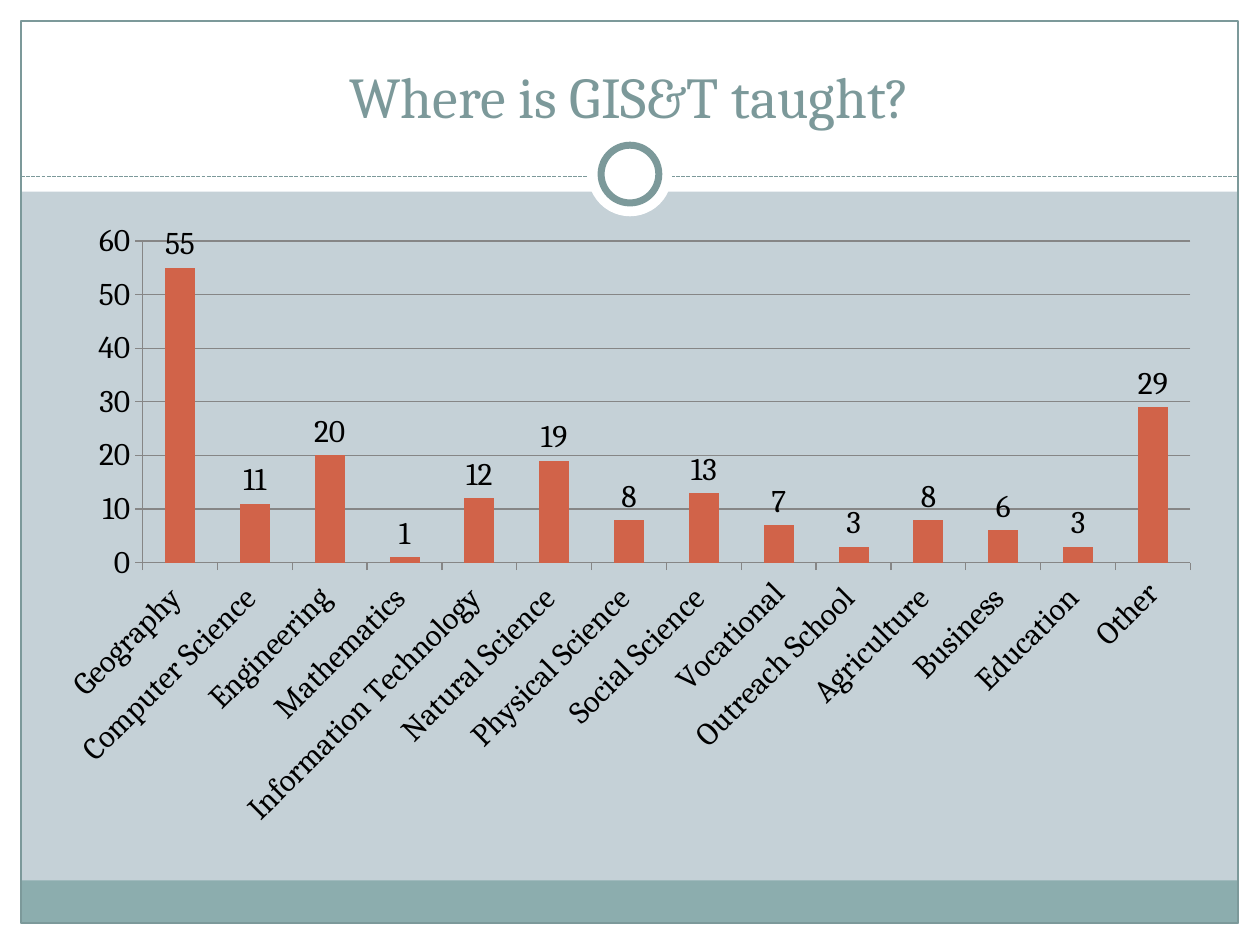
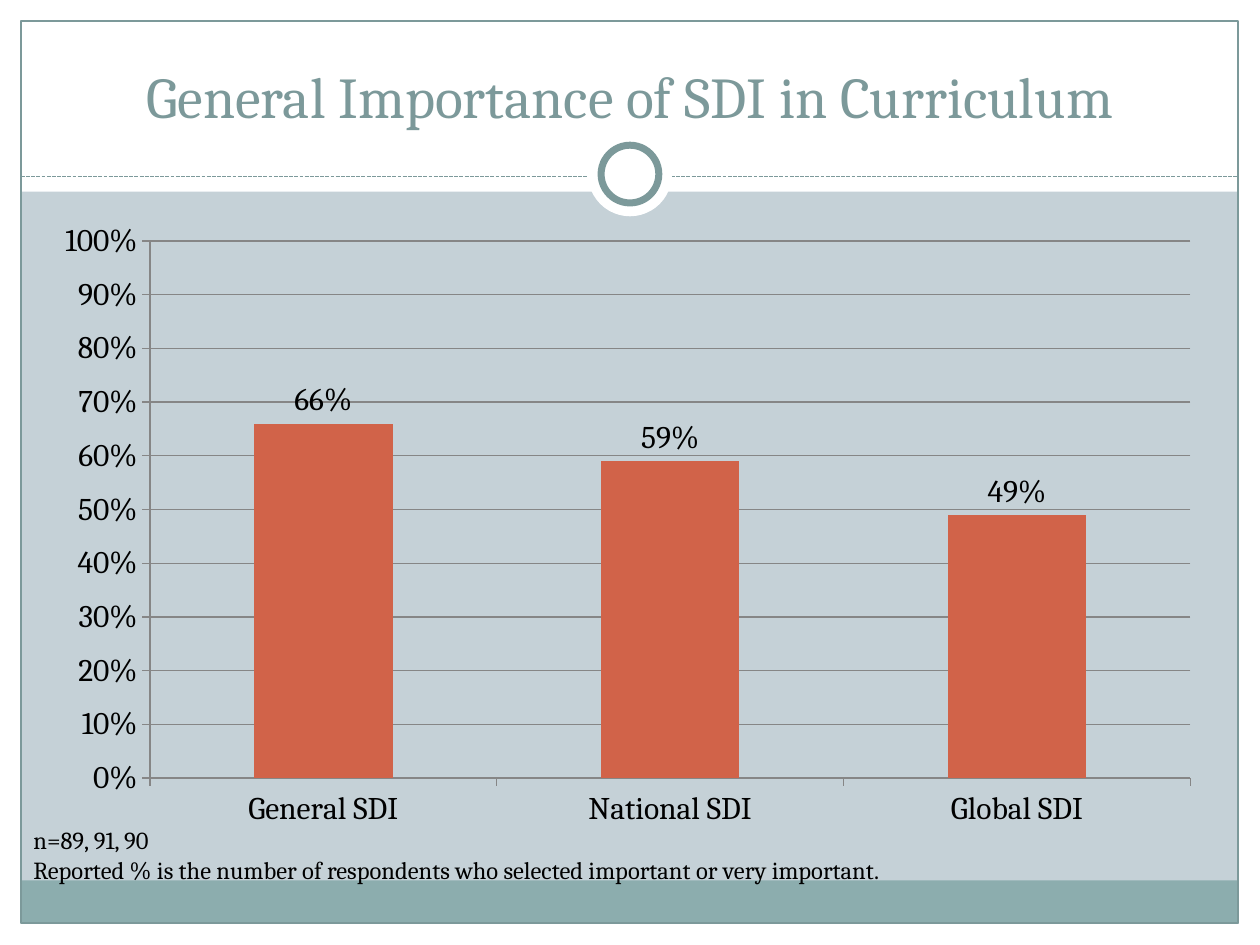
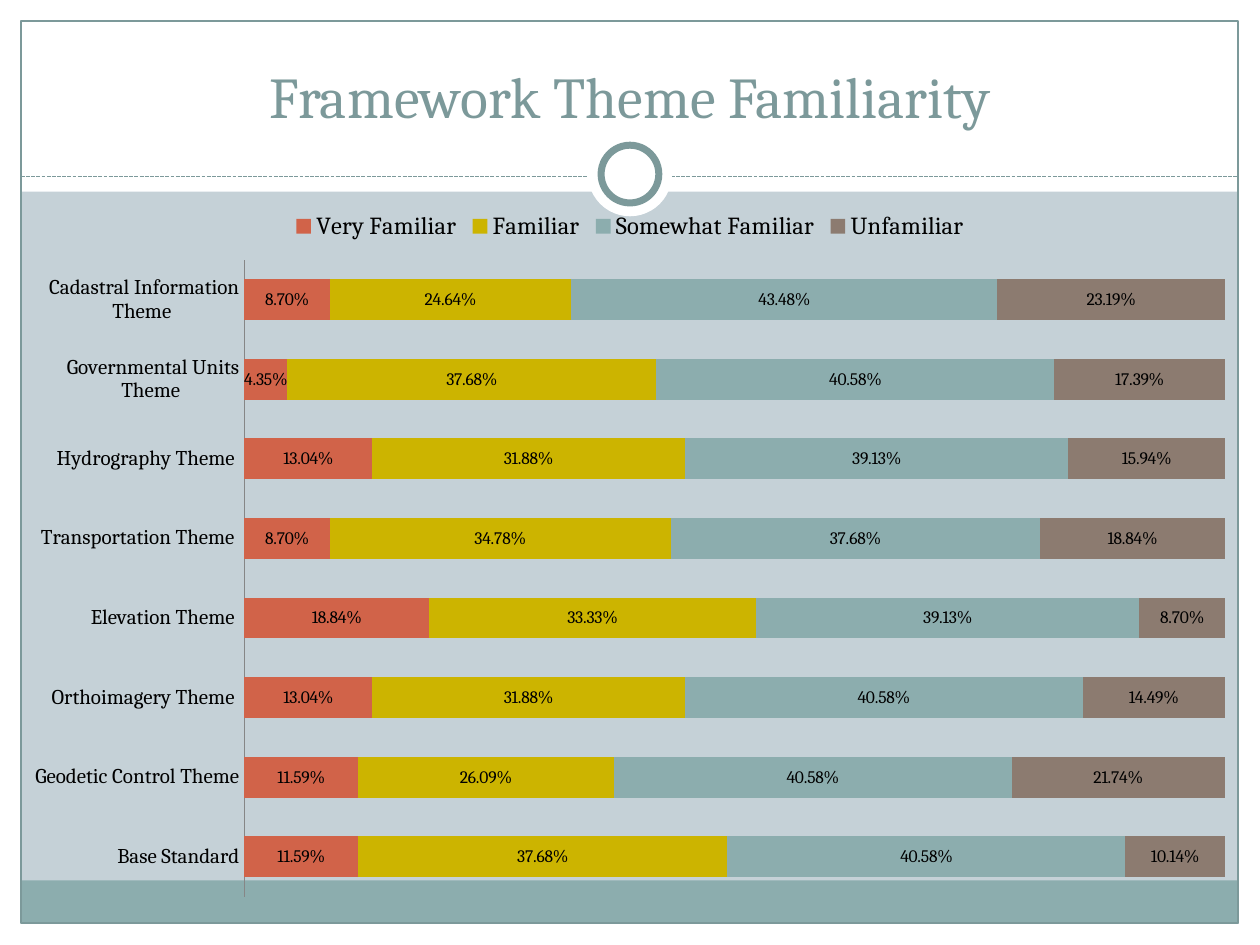
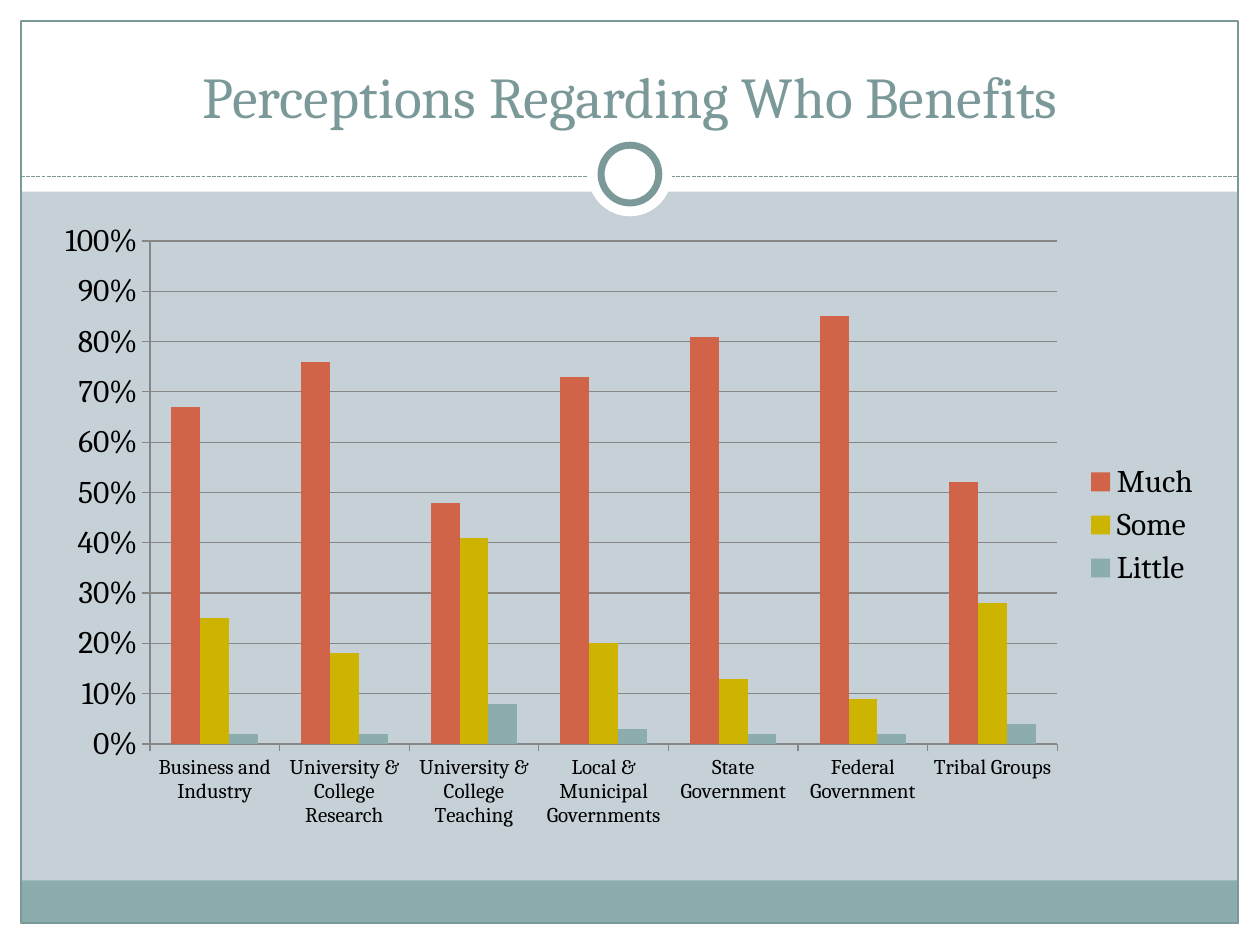
"""Build four chart slides on GIS teaching that share one framed layout."""
from lxml import etree
from pptx import Presentation
from pptx import util as u
from pptx.chart import data
from pptx.dml import color
from pptx.enum import chart as kinds, dml, shapes, text

FACE = "Cambria"
WHITE, TEAL, SLATE, BLACK, GREY = "FFFFFF", "8CADAE", "7C999A", "000000", "868686"
HUES = ["D16349", "CCB400", TEAL, "8C7B70"]
COLUMN = kinds.XL_CHART_TYPE.COLUMN_CLUSTERED
STACK = kinds.XL_CHART_TYPE.BAR_STACKED_100
TOP, RIGHT = kinds.XL_LEGEND_POSITION.TOP, kinds.XL_LEGEND_POSITION.RIGHT
RECT, OVAL = shapes.MSO_SHAPE.RECTANGLE, shapes.MSO_SHAPE.OVAL
BODY = (24, 120, 669.6, 360)


def ink(fill, code):
    """Make a fill solid in the given hex colour."""
    fill.solid()
    fill.fore_color.rgb = color.RGBColor.from_string(code)


def style(font, size, code=BLACK):
    """Set face, size and colour of a font."""
    font.name, font.size = FACE, u.Pt(size)
    ink(font.fill, code)


pages = [
    dict(title="Where is GIS&T taught?", kind=COLUMN, box=BODY, fmt="General",
         top=None, small=18, key=None, label=18,
         cats=["Geography ", "Computer Science ", "Engineering ", "Mathematics ",
               "Information Technology ", "Natural Science ", "Physical Science ",
               "Social Science ", "Vocational", "Outreach School ", "Agriculture ",
               "Business ", "Education ", "Other"],
         rows={"Series 1": [55, 11, 20, 1, 12, 19, 8, 13, 7, 3, 8, 6, 3, 29]}),
    dict(title="General Importance of SDI in Curriculum", kind=COLUMN, box=BODY,
         fmt="0%", top=1, small=18, key=None, label=18,
         cats=["General SDI", "National SDI", "Global SDI"],
         rows={"Series 1": [0.66, 0.59, 0.49]},
         note=["n=89, 91, 90",
               "Reported % is the number of respondents who selected important "
               "or very important."]),
    dict(title="Framework Theme Familiarity", kind=STACK, box=(6, 113, 708, 407.5),
         fmt="0.00%", top=None, small=12, key=(TOP, 14), label=10,
         cats=["Base Standard", "Geodetic Control Theme", "Orthoimagery Theme ",
               "Elevation Theme ", "Transportation Theme ", "Hydrography Theme ",
               "Governmental Units Theme ", "Cadastral Information Theme "],
         rows={
             "Very Familiar": [0.1159, 0.1159, 0.1304, 0.1884,
                               0.087, 0.1304, 0.0435, 0.087],
             "Familiar": [0.3768, 0.2609, 0.3188, 0.3333,
                          0.3478, 0.3188, 0.3768, 0.2464],
             "Somewhat Familiar": [0.4058, 0.4058, 0.4058, 0.3913,
                                   0.3768, 0.3913, 0.4058, 0.4348],
             "Unfamiliar": [0.1014, 0.2174, 0.1449, 0.087,
                            0.1884, 0.1594, 0.1739, 0.2319]}),
    dict(title="Perceptions Regarding Who Benefits", kind=COLUMN, box=BODY,
         fmt="0%", top=1, small=12, key=(RIGHT, 18), label=None,
         cats=["Business and Industry", "University & College Research",
               "University & College Teaching", "Local & Municipal Governments",
               "State Government", "Federal Government", "Tribal Groups"],
         rows={"Much": [0.67, 0.76, 0.48, 0.73, 0.81, 0.85, 0.52],
               "Some": [0.25, 0.18, 0.41, 0.2, 0.13, 0.09, 0.28],
               "Little": [0.02, 0.02, 0.08, 0.03, 0.02, 0.02, 0.04]}),
]

deck = Presentation()
deck.slide_width, deck.slide_height = u.Pt(720), u.Pt(540)
layout = deck.slide_layouts[5]
ink(layout.background.fill, "C5D1D7")
for holder in list(layout.placeholders)[1:]:
    layout.shapes.element.remove(holder.element)
slides = [deck.slides.add_slide(layout) for page in pages]

draw = slides[0].shapes
frame = []
for form, box, fill, edge in [
    (RECT, (0, 528, 720, 12), WHITE, 0),
    (RECT, (0, 0, 720, 109.5), WHITE, 0),
    (RECT, (0, 0, 12, 540), WHITE, 0),
    (RECT, (708, 0, 12, 540), WHITE, 0),
    (RECT, (11.75, 503, 695.5, 24.75), TEAL, 0),
    (RECT, (12, 12, 695.5, 515.5), None, 0.75),
    (None, (12, 100.8, 708, 100.8), None, 0.75),
    (OVAL, (336, 75.6, 48, 48), WHITE, 0),
    (OVAL, (343.5, 83, 33, 33), WHITE, 4),
]:
    spots = [u.Pt(n) for n in box]
    if form is None:
        part = draw.add_connector(shapes.MSO_CONNECTOR.STRAIGHT, *spots)
    else:
        part = draw.add_shape(form, *spots)
        part.shadow.inherit = False
        if fill:
            ink(part.fill, fill)
        else:
            part.fill.background()
    if edge:
        ink(part.line.fill, SLATE)
        part.line.width = u.Pt(edge)
    else:
        part.line.fill.background()
    if form is None:
        part.line.dash_style = dml.MSO_LINE.SQUARE_DOT
        props = part.element.spPr
        etree.SubElement(props, "{%s}effectLst" % props.nsmap["a"])
    frame.append(part)
for part in frame:
    layout.shapes.element.append(part.element)

for slide, page in zip(slides, pages):
    title = slide.shapes.title
    title.left, title.top, title.width, title.height = map(u.Pt, (24, 18, 672, 60))
    title.text_frame.text = page["title"]
    title.text_frame.auto_size = text.MSO_AUTO_SIZE.NONE
    title.text_frame.vertical_anchor = text.MSO_ANCHOR.BOTTOM
    head = title.text_frame.paragraphs[0]
    head.alignment = text.PP_ALIGN.CENTER
    style(head.font, 33, SLATE)

    table = data.CategoryChartData(number_format=page["fmt"])
    table.categories = page["cats"]
    for name, vals in page["rows"].items():
        table.add_series(name, vals)
    chart = slide.shapes.add_chart(page["kind"], *map(u.Pt, page["box"]), table).chart
    stacked = page["kind"] == STACK
    chart.has_title = False
    style(chart.font, 18)
    plot = chart.plots[0]
    plot.vary_by_categories = False
    plot.gap_width = 95 if stacked else 150
    if stacked:
        plot.overlap = 100
    for series, hue in zip(plot.series, HUES):
        ink(series.format.fill, hue)
        series.invert_if_negative = False

    if page["label"]:
        plot.has_data_labels = True
        labels = plot.data_labels
        labels.show_value = True
        labels.number_format, labels.number_format_is_linked = page["fmt"], False
        places = kinds.XL_LABEL_POSITION
        labels.position = places.CENTER if stacked else places.OUTSIDE_END
        style(labels.font, page["label"])

    ticks = kinds.XL_TICK_MARK
    cat, val = chart.category_axis, chart.value_axis
    for axis in (cat, val):
        axis.major_tick_mark = ticks.NONE if stacked else ticks.OUTSIDE
        axis.minor_tick_mark = ticks.NONE
        ink(axis.format.line.fill, GREY)
        axis.format.line.width = u.Pt(0.75)
    style(cat.tick_labels.font, page["small"])
    val.visible = not stacked
    val.has_major_gridlines = not stacked
    if not stacked:
        val.tick_labels.number_format = page["fmt"]
        val.tick_labels.number_format_is_linked = False
        grid = val.major_gridlines.format.line
        ink(grid.fill, GREY)
        grid.width = u.Pt(0.75)
    if page["top"]:
        val.minimum_scale, val.maximum_scale = 0, page["top"]

    chart.has_legend = bool(page["key"])
    if page["key"]:
        chart.legend.position, size = page["key"]
        chart.legend.include_in_layout = False
        style(chart.legend.font, size)

    if "note" in page:
        note = slide.shapes.add_textbox(*map(u.Pt, (12, 468, 540.75, 41))).text_frame
        note.word_wrap = False
        note.auto_size = text.MSO_AUTO_SIZE.SHAPE_TO_FIT_TEXT
        note.text = "\n".join(page["note"])
        for para in note.paragraphs:
            style(para.font, 14)

deck.save("out.pptx")
